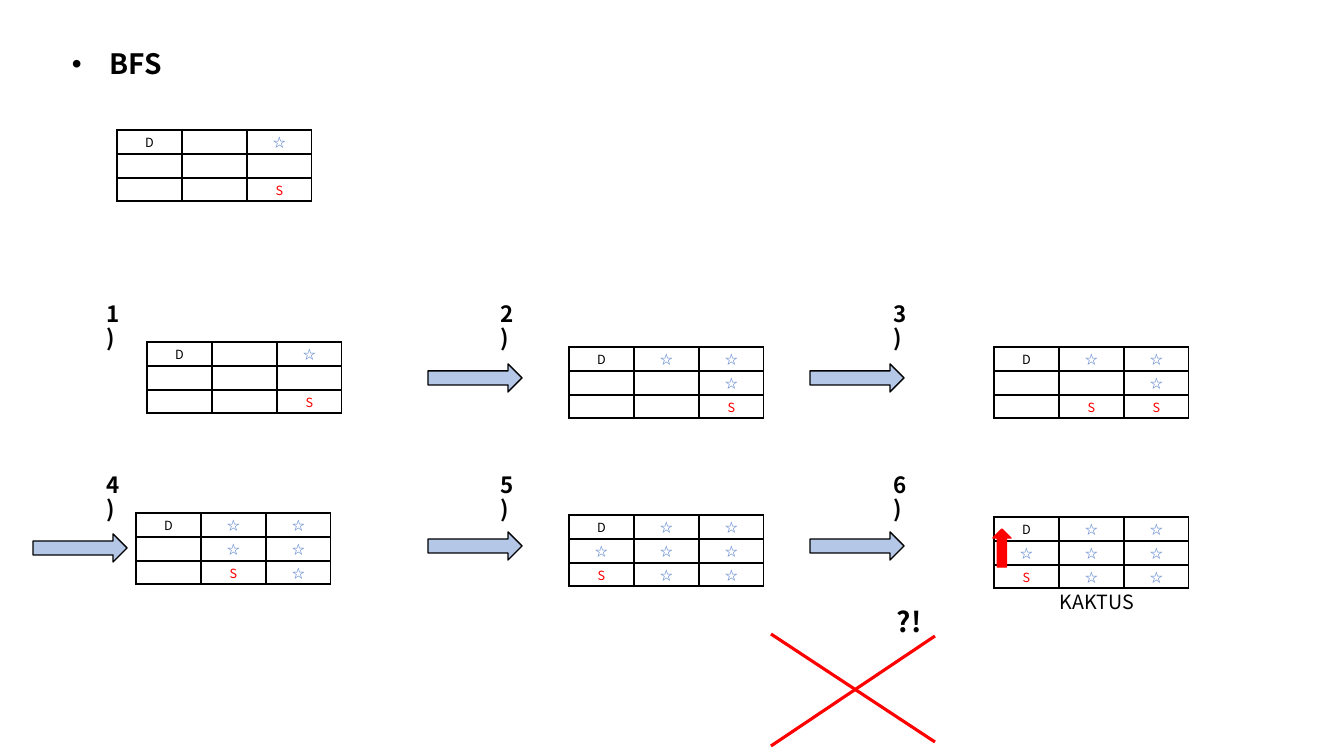
from pptx import Presentation
from pptx.dml.color import RGBColor
from pptx.enum.shapes import MSO_CONNECTOR as Connector, MSO_SHAPE as Preset
from pptx.enum.text import MSO_ANCHOR as Anchor, PP_ALIGN as Align
from pptx.oxml.ns import qn
from pptx.util import Pt
from lxml.etree import SubElement

BLACK = RGBColor(0x00, 0x00, 0x00)
RED = RGBColor(0xFF, 0x00, 0x00)
STAR_BLUE = RGBColor(0x44, 0x72, 0xC4)
ARROW_BLUE = RGBColor(0xB4, 0xC7, 0xE7)
FONT = "Noto Sans CJK KR"
EMU_PER_PIXEL = 914400 / 100.8
STAR = "\u2606"
MARK_COLORS = {"D": BLACK, STAR: STAR_BLUE, "S": RED}
CELL_SIZE = 9
COLUMN_WIDTH = 65
ROW_HEIGHTS = (24, 24, 23)

START = ("D", "", STAR), ("", "", ""), ("", "", "S")
STEP_2 = ("D", STAR, STAR), ("", "", STAR), ("", "", "S")
STEP_3 = ("D", STAR, STAR), ("", "", STAR), ("", "S", "S")
STEP_4 = ("D", STAR, STAR), ("", STAR, STAR), ("", "S", STAR)
STEP_5 = ("D", STAR, STAR), (STAR, STAR, STAR), ("S", STAR, STAR)
BOARDS = [
    (117, 130, START), (147, 342, START), (569, 347, STEP_2), (994, 347, STEP_3),
    (569, 515, STEP_5), (994, 517, STEP_5), (136, 513, STEP_4),
]
LABEL_COLUMNS = (97, 491, 884)
LABEL_ROWS = (298, 469)
STEP_ARROWS = [(428, 364), (810, 364), (33, 534), (428, 532), (810, 532)]
CROSS = [(771, 746, 935, 636), (771, 634, 935, 742)]


def px(*values):
    """Turn whole pixels into a list of EMU lengths."""
    return [round(value * EMU_PER_PIXEL) for value in values]


def apply_format(target, values):
    """Set every attribute in values on target."""
    for name, value in values.items():
        setattr(target, name, value)


def write_text(paragraph, text, size, color, bold=False):
    """Write one run in the slide font."""
    run = paragraph.add_run()
    run.text = text
    apply_format(run.font, {"name": FONT, "size": Pt(size), "bold": bold})
    run.font.color.rgb = color
    SubElement(run._r.get_or_add_rPr(), qn("a:ea"), typeface=FONT)


def add_text(slide, box, text, size, bold=True):
    """Add a wrapping text box and return its paragraph."""
    frame = slide.shapes.add_textbox(*px(*box)).text_frame
    frame.word_wrap = True
    paragraph = frame.paragraphs[0]
    apply_format(paragraph, {"line_spacing": 0.9, "space_before": Pt(10)})
    write_text(paragraph, text, size, BLACK, bold)
    return paragraph


def add_bullet(paragraph, indent):
    """Give the paragraph a round bullet with a hanging indent."""
    properties = paragraph._p.get_or_add_pPr()
    [length] = px(indent)
    properties.set("marL", str(length))
    properties.set("indent", str(-length))
    SubElement(properties, qn("a:buFont"), typeface="Arial")
    SubElement(properties, qn("a:buChar"), char="\u2022")


def add_arrow(slide, box, fill, line, rotation=0):
    """Add a block arrow pointing right before rotation."""
    arrow = slide.shapes.add_shape(Preset.RIGHT_ARROW, *px(*box))
    arrow.shadow.inherit = False
    arrow.rotation = rotation
    arrow.fill.solid()
    arrow.fill.fore_color.rgb = fill
    arrow.line.color.rgb = line
    arrow.line.width = Pt(1)


def add_line(slide, ends):
    """Add a red line without shadow."""
    connector = slide.shapes.add_connector(Connector.STRAIGHT, *px(*ends))
    connector.line.color.rgb = RED
    connector.line.width = Pt(2.25)
    SubElement(connector._element.spPr, qn("a:effectLst"))


def add_borders(cell):
    """Draw thin black borders on all four sides of a cell."""
    properties = cell._tc.get_or_add_tcPr()
    for side in ("lnL", "lnR", "lnT", "lnB"):
        border = SubElement(properties, qn(f"a:{side}"), w=str(Pt(1)))
        fill = SubElement(border, qn("a:solidFill"))
        SubElement(fill, qn("a:srgbClr"), val=str(BLACK))


def fill_cell(cell, mark):
    """Format a board cell and write its mark."""
    left, top, bottom = px(5, 3, 2)
    apply_format(cell, {"margin_left": left, "margin_right": left, "margin_top": top,
                        "margin_bottom": bottom, "vertical_anchor": Anchor.TOP})
    add_borders(cell)
    cell.fill.background()
    paragraph = cell.text_frame.paragraphs[0]
    paragraph.alignment = Align.CENTER
    if mark:
        write_text(paragraph, mark, CELL_SIZE, MARK_COLORS[mark])
    else:
        ending = SubElement(paragraph._p, qn("a:endParaRPr"), sz=str(CELL_SIZE * 100))
        for script in ("latin", "ea"):
            SubElement(ending, qn(f"a:{script}"), typeface=FONT)


def add_board(slide, left, top, marks):
    """Add a three by three board as a table."""
    box = px(left, top, 3 * COLUMN_WIDTH, sum(ROW_HEIGHTS))
    table = slide.shapes.add_table(3, 3, *box).table
    apply_format(table, {"first_row": False, "horz_banding": False})
    for column in table.columns:
        [column.width] = px(COLUMN_WIDTH)
    for row, height, row_marks in zip(table.rows, ROW_HEIGHTS, marks):
        [row.height] = px(height)
        for cell, mark in zip(row.cells, row_marks):
            fill_cell(cell, mark)


def main():
    """Build the breadth-first search slide."""
    presentation = Presentation()
    width, height = px(1344, 756)
    apply_format(presentation, {"slide_width": width, "slide_height": height})
    slide = presentation.slides.add_slide(presentation.slide_layouts[6])

    add_bullet(add_text(slide, (62, 45, 696, 164), "BFS", 20), 38)
    label_places = [(left, top) for top in LABEL_ROWS for left in LABEL_COLUMNS]
    for number, (left, top) in enumerate(label_places, 1):
        add_text(slide, (left, top, 38, 37), f"{number})", 16)
    for left, top in STEP_ARROWS:
        add_arrow(slide, (left, top, 94, 28), ARROW_BLUE, BLACK)
    for left, top, marks in BOARDS:
        add_board(slide, left, top, marks)
    for ends in CROSS:
        add_line(slide, ends)
    add_text(slide, (887, 603, 400, 140), "?!", 20)
    add_arrow(slide, (983, 539, 38, 18), RED, RED, 270)
    add_text(slide, (1050, 588, 280, 140), "KAKTUS", 14, bold=False)
    presentation.save("out.pptx")


main()
